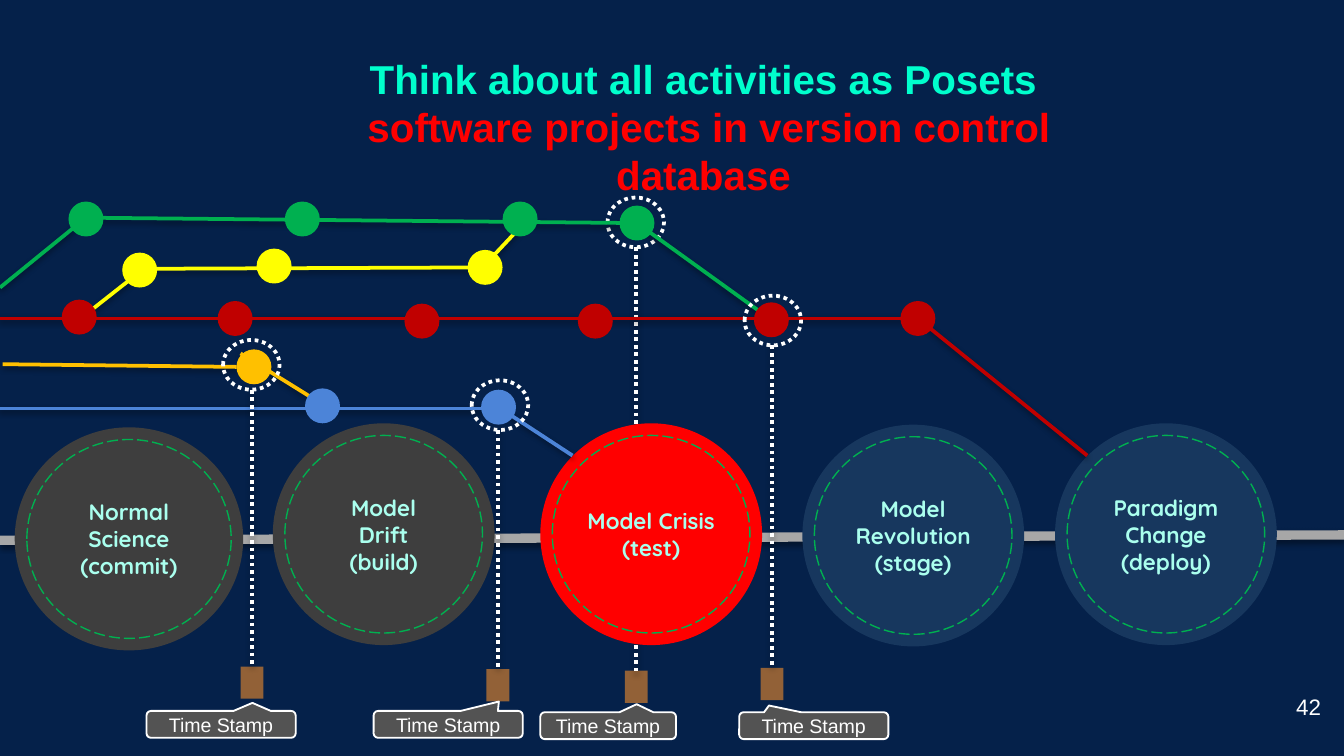
"""Build a slide of version-control branches above the phases of a paradigm shift."""
from copy import deepcopy
from dataclasses import dataclass

from pptx import Presentation
from pptx.dml.color import RGBColor
from pptx.enum.dml import MSO_LINE
from pptx.enum.shapes import MSO_CONNECTOR, MSO_SHAPE
from pptx.enum.text import MSO_ANCHOR, MSO_AUTO_SIZE, PP_ALIGN
from pptx.oxml import parse_xml
from pptx.shapes.autoshape import Shape
from pptx.shapes.connector import Connector
from pptx.slide import Slide
from pptx.text.text import TextFrame, _Paragraph, _Run
from pptx.util import Inches, Pt

OVAL = MSO_SHAPE.OVAL
RECTANGLE = MSO_SHAPE.RECTANGLE
CALLOUT = MSO_SHAPE.ROUNDED_RECTANGULAR_CALLOUT
STRAIGHT = MSO_CONNECTOR.STRAIGHT
DOTTED = MSO_LINE.ROUND_DOT
DASHED = MSO_LINE.LONG_DASH
CENTER = PP_ALIGN.CENTER
RIGHT = PP_ALIGN.RIGHT
TOP = MSO_ANCHOR.TOP
MIDDLE = MSO_ANCHOR.MIDDLE
GROW = MSO_AUTO_SIZE.SHAPE_TO_FIT_TEXT
NO_FIT = MSO_AUTO_SIZE.NONE

COLORS = {
    "background": "05214A", "white": "FFFFFF", "mint": "00FFCD", "label": "AAFFEE",
    "axis": "A7A7A7", "past": "3E3E3E", "crisis": "FF0000", "future": "17375E",
    "green": "00B050", "yellow": "FFFF00", "red": "C00000", "orange": "FFC000",
    "blue": "4C84D8", "stamp": "926137", "callout": "535353",
}
NODE_SIZE = 0.26
RING_SIZE = (0.42, 0.37)
STAMP_SIZE = (0.17, 0.24)
PHASE_INSET = 0.09
SHADOW = (
    '<a:effectLst xmlns:a="http://schemas.openxmlformats.org/drawingml/2006/main">'
    '<a:outerShdw blurRad="38100" dist="20320" dir="5400000" rotWithShape="0">'
    '<a:srgbClr val="000000"><a:alpha val="38000"/></a:srgbClr>'
    "</a:outerShdw></a:effectLst>"
)

Point = tuple[float, float]
Box = tuple[float, float, float, float]


@dataclass
class Phase:
    box: Box
    color: str
    lines: list[str]


@dataclass
class Branch:
    color: str
    segments: list[tuple[Point, Point]]
    nodes: list[Point]


@dataclass
class TimeStamp:
    ring: Point
    stamp: Point


@dataclass
class StampLabel:
    box: Box
    pointer: Point


PHASES = [
    Phase((0.11, 3.18, 1.7, 1.66), "past", ["Normal Science", "(commit)"]),
    Phase((2.03, 3.15, 1.65, 1.65), "past", ["Model", "Drift", "(build)"]),
    Phase((4.02, 3.15, 1.65, 1.65), "crisis", ["Model Crisis", "(test)"]),
    Phase((5.97, 3.16, 1.65, 1.65), "future", ["Model Revolution", "(stage)"]),
    Phase((7.85, 3.15, 1.65, 1.65), "future", ["Paradigm Change", "(deploy)"]),
]
BRANCHES = [
    Branch("yellow",
           [((0.6, 2.37), (1.07, 2)), ((1.07, 2), (3.59, 1.99)), ((3.59, 1.99), (3.9, 1.66))],
           [(0.91, 1.88), (1.91, 1.85), (3.48, 1.86)]),
    Branch("green",
           [((4.74, 1.66), (5.74, 2.38)), ((0, 2.14), (0.64, 1.62)), ((0.64, 1.62), (4.74, 1.66))],
           [(0.51, 1.5), (2.12, 1.5), (3.74, 1.5), (4.61, 1.53)]),
    Branch("red",
           [((-0.01, 2.37), (6.8, 2.37)), ((6.83, 2.37), (8.09, 3.39))],
           [(5.61, 2.25), (0.46, 2.23), (1.62, 2.24), (3.01, 2.26), (4.3, 2.26), (6.7, 2.24)]),
    Branch("orange",
           [((0.02, 2.71), (1.76, 2.73)), ((1.79, 2.63), (2.45, 3.04))],
           [(1.76, 2.6)]),
    Branch("blue",
           [((-0.01, 3.04), (3.69, 3.04)), ((3.71, 3.03), (4.26, 3.39))],
           [(3.58, 2.9), (2.27, 2.89)]),
]
CRISIS_STAMP = TimeStamp((4.52, 1.47), (4.65, 4.99))
FRONT_STAMPS = [
    TimeStamp((3.51, 2.83), (3.62, 4.98)),
    TimeStamp((5.54, 2.2), (5.66, 4.97)),
    TimeStamp((1.66, 2.53), (1.79, 4.96)),
]
STAMP_LABELS = [
    StampLabel((2.78, 5.29, 1.11, 0.2), (0.34, -0.85)),
    StampLabel((4.02, 5.3, 1.01, 0.2), (0.21, -0.8)),
    StampLabel((1.09, 5.29, 1.11, 0.2), (0.21, -0.8)),
    StampLabel((5.5, 5.3, 1.11, 0.2), (-0.3, -0.75)),
]


def rgb(color: str) -> RGBColor:
    return RGBColor.from_string(COLORS[color])


def set_margins(frame: TextFrame, margin: float) -> None:
    frame.margin_left = frame.margin_right = Inches(margin)
    frame.margin_top = frame.margin_bottom = Inches(margin)


def add_run(paragraph: _Paragraph, text: str, font_name: str, size: float, color: str,
            bold: bool = False) -> _Run:
    run = paragraph.add_run()
    run.text = text
    run.font.name = font_name
    run.font.size = Pt(size)
    run.font.bold = bold
    run.font.color.rgb = rgb(color)
    return run


def write(frame: TextFrame, lines: list[str], font_name: str, size: float, color: str,
          bold: bool = False, align: PP_ALIGN = CENTER) -> None:
    frame.vertical_anchor = MIDDLE
    for index, text in enumerate(lines):
        paragraph = frame.add_paragraph() if index else frame.paragraphs[0]
        paragraph.alignment = align
        add_run(paragraph, text, font_name, size, color, bold)


def draw_shape(slide: Slide, kind: MSO_SHAPE, box: Box, fill: str = "", line: str = "",
               width: float = 1, dash: MSO_LINE | None = None) -> Shape:
    shape = slide.shapes.add_shape(kind, *map(Inches, box))
    shape.shadow.inherit = False
    if fill:
        shape.fill.solid()
        shape.fill.fore_color.rgb = rgb(fill)
    else:
        shape.fill.background()
    if line:
        shape.line.color.rgb = rgb(line)
        shape.line.width = Pt(width)
        shape.line.dash_style = dash
    else:
        shape.line.fill.background()
    return shape


def draw_line(slide: Slide, start: Point, end: Point, color: str, width: float = 2,
              dash: MSO_LINE | None = None) -> Connector:
    connector = slide.shapes.add_connector(STRAIGHT, *map(Inches, (*start, *end)))
    connector.line.color.rgb = rgb(color)
    connector.line.width = Pt(width)
    connector.line.dash_style = dash
    connector._element.spPr.append(parse_xml(SHADOW))
    return connector


def draw_phase(slide: Slide, phase: Phase) -> None:
    left, top, width, height = phase.box
    disc = draw_shape(slide, OVAL, phase.box, phase.color)
    disc.text_frame.word_wrap = True
    write(disc.text_frame, phase.lines, "Quicksand", 12, "label", bold=True)
    inner = (left + PHASE_INSET, top + PHASE_INSET,
             width - 2 * PHASE_INSET, height - 2 * PHASE_INSET)
    draw_shape(slide, OVAL, inner, line="green", width=0.75, dash=DASHED)


def draw_branch(slide: Slide, branch: Branch) -> None:
    for start, end in branch.segments:
        draw_line(slide, start, end, branch.color)
    for node in branch.nodes:
        draw_shape(slide, OVAL, (*node, NODE_SIZE, NODE_SIZE), branch.color)


def draw_time_stamp(slide: Slide, mark: TimeStamp) -> None:
    stamp = draw_shape(slide, RECTANGLE, (*mark.stamp, *STAMP_SIZE), "stamp")
    draw_shape(slide, OVAL, (*mark.ring, *RING_SIZE), line="white", width=2, dash=DOTTED)
    ring_bottom = (mark.stamp[0] + STAMP_SIZE[0] / 2, mark.ring[1] + RING_SIZE[1])
    drop = draw_line(slide, ring_bottom, mark.stamp, "white", dash=DOTTED)
    drop.end_connect(stamp, 0)


def draw_stamp_label(slide: Slide, label: StampLabel) -> None:
    callout = draw_shape(slide, CALLOUT, label.box, "callout", "white")
    callout.adjustments[0], callout.adjustments[1] = label.pointer
    set_margins(callout.text_frame, 0)
    callout.text_frame.word_wrap = True
    callout.text_frame.auto_size = GROW
    write(callout.text_frame, ["Time Stamp"], "Arial", 10.5, "white")


def draw_title(slide: Slide) -> None:
    title = slide.shapes.title
    title.left, title.top, title.width, title.height = map(Inches, (2.02, 0.3, 6.43, 1.03))
    frame = title.text_frame
    set_margins(frame, 0.1)
    frame.word_wrap = True
    frame.auto_size = NO_FIT
    frame.vertical_anchor = TOP
    paragraph = frame.paragraphs[0]
    paragraph.alignment = CENTER
    thought = add_run(paragraph, "Think about all activities as Posets", "Arial", 21.6, "mint", True)
    paragraph.add_line_break()
    paragraph._p[-1].append(deepcopy(thought._r.rPr))
    add_run(paragraph, " software projects in version control database", "Arial", 21.6, "crisis", True)


def draw_page_number(slide: Slide) -> None:
    number = slide.shapes.add_textbox(*map(Inches, (9.57, 5.11, 0.31, 0.3)))
    set_margins(number.text_frame, 0.05)
    number.text_frame.word_wrap = False
    number.text_frame.auto_size = GROW
    write(number.text_frame, ["42"], "Arial", 12, "white", align=RIGHT)


def main() -> None:
    deck = Presentation()
    deck.slide_width = Inches(10)
    deck.slide_height = deck.slide_width * 9 // 16
    slide = deck.slides.add_slide(deck.slide_layouts[5])
    slide.background.fill.solid()
    slide.background.fill.fore_color.rgb = rgb("background")
    draw_time_stamp(slide, CRISIS_STAMP)
    draw_line(slide, (0, 4.02), (10, 3.98), "axis", 5)
    draw_title(slide)
    for phase in PHASES:
        draw_phase(slide, phase)
    for branch in BRANCHES:
        draw_branch(slide, branch)
    for mark in FRONT_STAMPS:
        draw_time_stamp(slide, mark)
    for label in STAMP_LABELS:
        draw_stamp_label(slide, label)
    draw_page_number(slide)
    deck.save("out.pptx")


if __name__ == "__main__":
    main()
